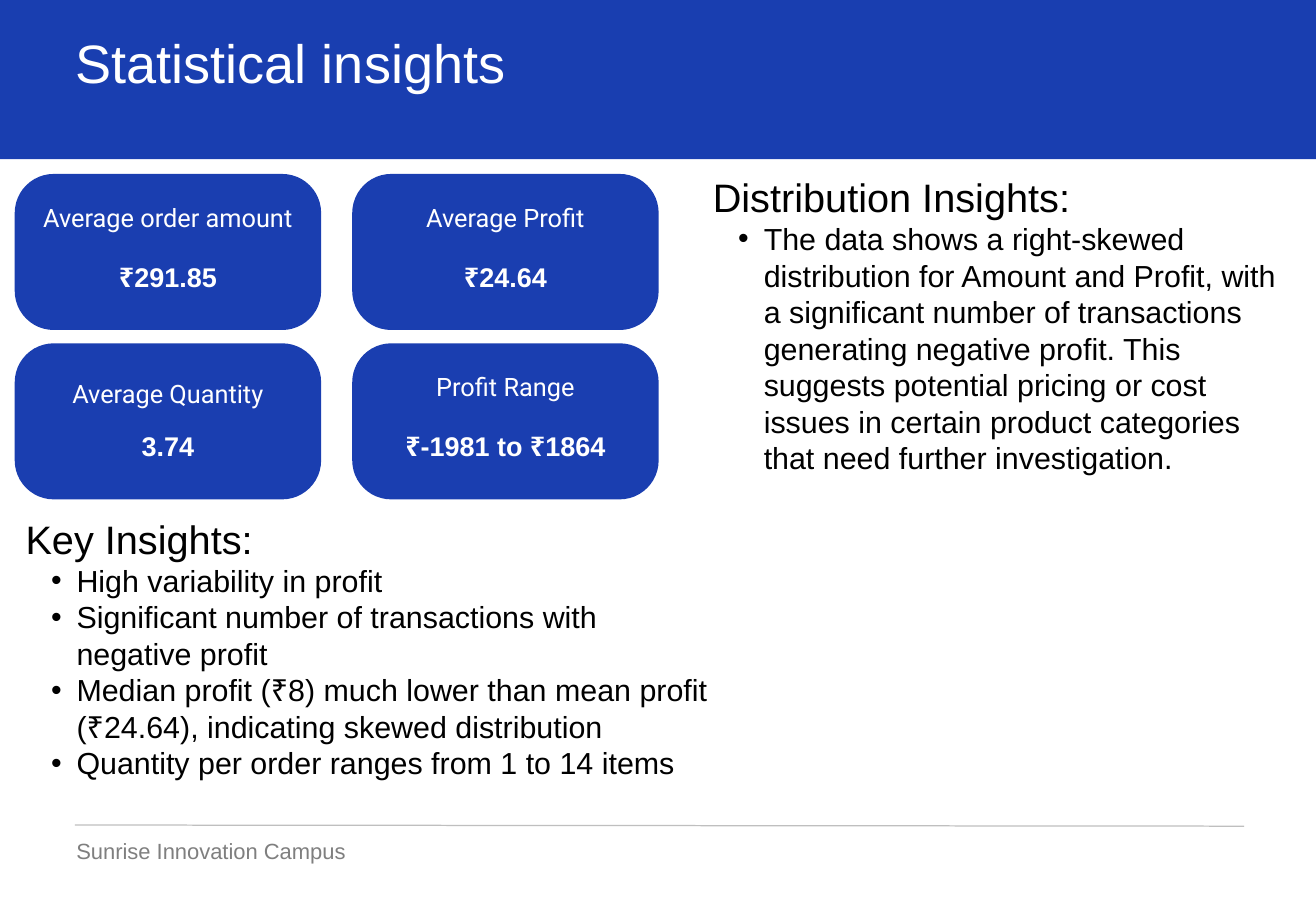
from dataclasses import dataclass

import lxml.etree
import pptx
import pptx.dml.color
import pptx.enum.shapes
import pptx.enum.text
import pptx.oxml.ns
import pptx.util

Pt = pptx.util.Pt
RGB = pptx.dml.color.RGBColor
ShapeType = pptx.enum.shapes.MSO_SHAPE
Align = pptx.enum.text.PP_ALIGN


@dataclass(frozen=True)
class TextStyle:
    size: float
    line_height: float
    color: RGB
    font: str = "Arial"
    bold: bool = False


@dataclass(frozen=True)
class Theme:
    band: RGB = RGB(0x19, 0x3E, 0xB0)
    card: RGB = RGB(0x1A, 0x3E, 0xB0)
    rule: RGB = RGB(0xBF, 0xBF, 0xBF)
    title: TextStyle = TextStyle(32, 38.4, RGB(255, 255, 255))
    heading: TextStyle = TextStyle(23.5, 28.2, RGB(0, 0, 0))
    bullet: TextStyle = TextStyle(18, 21.6, RGB(0, 0, 0))
    label: TextStyle = TextStyle(15, 21, RGB(255, 255, 255), "Roboto")
    value: TextStyle = TextStyle(16, 19.2, RGB(255, 255, 255), bold=True)
    footer: TextStyle = TextStyle(13, 15.6, RGB(0x7F, 0x7F, 0x7F))


@dataclass(frozen=True)
class Box:
    left: float
    top: float
    width: float
    height: float

    def lengths(self) -> tuple:
        return Pt(self.left), Pt(self.top), Pt(self.width), Pt(self.height)


@dataclass(frozen=True)
class StatCard:
    column: int
    row: int
    label: str
    value: str
    label_top: float = 13.7


@dataclass(frozen=True)
class InsightBlock:
    box: Box
    heading: str
    bullets: tuple[str, ...]


THEME = Theme()
SLIDE_WIDTH, SLIDE_HEIGHT = 779, 540
CARD_LEFT, CARD_TOP = 8.7, 103
CARD_WIDTH, CARD_HEIGHT = 181.4, 92.4
COLUMN_STEP, ROW_STEP = 199.8, 100.3
CORNER_RATIO = 0.25
CORNER_TEXT_INSET = 6.7
VALUE_TOP = 51.2
BULLET_MARGIN, BULLET_INDENT = 30.2, -15.1

CARDS = (
    StatCard(0, 0, "Average order amount", "₹291.85"),
    StatCard(1, 0, "Average Profit", "₹24.64"),
    StatCard(0, 1, "Average Quantity", "3.74", label_top=17.3),
    StatCard(1, 1, "Profit Range", "₹-1981 to ₹1864"),
)
INSIGHTS = (
    InsightBlock(
        Box(15.1, 304.6, 406.8, 185),
        "Key Insights:",
        (
            "High variability in profit",
            "Significant number of transactions with negative profit",
            "Median profit (₹8) much lower than mean profit (₹24.64), "
            "indicating skewed distribution",
            "Quantity per order ranges from 1 to 14 items",
        ),
    ),
    InsightBlock(
        Box(421.9, 102.2, 344.9, 206),
        "Distribution Insights:",
        (
            "The data shows a right-skewed distribution for Amount and Profit, "
            "with a significant number of transactions generating negative "
            "profit. This suggests potential pricing or cost issues in certain "
            "product categories that need further investigation.",
        ),
    ),
)


def write(paragraph, text: str, style: TextStyle, align=Align.LEFT) -> None:
    paragraph.text = text
    paragraph.alignment = align
    paragraph.line_spacing = Pt(style.line_height)
    paragraph.font.size = Pt(style.size)
    paragraph.font.name = style.font
    paragraph.font.bold = style.bold
    paragraph.font.color.rgb = style.color


def add_bullet_mark(paragraph) -> None:
    properties = paragraph._p.get_or_add_pPr()
    properties.set("lvl", "1")
    properties.set("marL", str(Pt(BULLET_MARGIN)))
    properties.set("indent", str(Pt(BULLET_INDENT)))
    for tag, name, setting in (
        ("a:buFont", "typeface", "Arial"),
        ("a:buChar", "char", "•"),
    ):
        element = lxml.etree.SubElement(properties, pptx.oxml.ns.qn(tag))
        element.set(name, setting)


def prepare_frame(shape, top_inset: float = 0):
    """Wrap text from the top, with no inset but the one given."""
    frame = shape.text_frame
    frame.word_wrap = True
    frame.vertical_anchor = pptx.enum.text.MSO_ANCHOR.TOP
    frame.margin_left = frame.margin_right = frame.margin_bottom = 0
    frame.margin_top = Pt(top_inset)
    return frame


def add_text(slide, box: Box, text: str, style: TextStyle):
    frame = prepare_frame(slide.shapes.add_textbox(*box.lengths()))
    write(frame.paragraphs[0], text, style)
    return frame


def add_filled_shape(slide, kind, box: Box, color: RGB):
    shape = slide.shapes.add_shape(kind, *box.lengths())
    shape.shadow.inherit = False
    shape.fill.solid()
    shape.fill.fore_color.rgb = color
    shape.line.fill.background()
    return shape


def add_card(slide, card: StatCard) -> None:
    box = Box(
        CARD_LEFT + card.column * COLUMN_STEP,
        CARD_TOP + card.row * ROW_STEP,
        CARD_WIDTH,
        CARD_HEIGHT,
    )
    shape = add_filled_shape(slide, ShapeType.ROUNDED_RECTANGLE, box, THEME.card)
    shape.adjustments[0] = CORNER_RATIO
    frame = prepare_frame(shape, card.label_top - CORNER_TEXT_INSET)
    write(frame.paragraphs[0], card.label, THEME.label, Align.CENTER)
    value = frame.add_paragraph()
    value.space_before = Pt(VALUE_TOP - card.label_top - THEME.label.line_height)
    write(value, card.value, THEME.value, Align.CENTER)


def add_insights(slide, block: InsightBlock) -> None:
    frame = add_text(slide, block.box, block.heading, THEME.heading)
    for text in block.bullets:
        paragraph = frame.add_paragraph()
        add_bullet_mark(paragraph)
        write(paragraph, text, THEME.bullet)


def add_footer_rule(slide) -> None:
    rule = slide.shapes.add_connector(
        pptx.enum.shapes.MSO_CONNECTOR.STRAIGHT,
        Pt(44.3), Pt(488.5), Pt(736.5), Pt(489.2),
    )
    rule.line.color.rgb = THEME.rule
    rule.line.width = Pt(0.75)
    lxml.etree.SubElement(rule._element.spPr, pptx.oxml.ns.qn("a:effectLst"))


def main() -> None:
    presentation = pptx.Presentation()
    presentation.slide_width = Pt(SLIDE_WIDTH)
    presentation.slide_height = Pt(SLIDE_HEIGHT)
    slide = presentation.slides.add_slide(presentation.slide_layouts[6])

    band = Box(0, 0, SLIDE_WIDTH, 94.2)
    add_filled_shape(slide, ShapeType.RECTANGLE, band, THEME.band)
    add_text(slide, Box(44.9, 17.3, 635, 43.2), "Statistical insights", THEME.title)
    for card in CARDS:
        add_card(slide, card)
    for block in INSIGHTS:
        add_insights(slide, block)
    add_footer_rule(slide)
    add_text(
        slide, Box(45.2, 496.1, 227.5, 20.2), "Sunrise Innovation Campus", THEME.footer
    )
    presentation.save("out.pptx")


if __name__ == "__main__":
    main()
